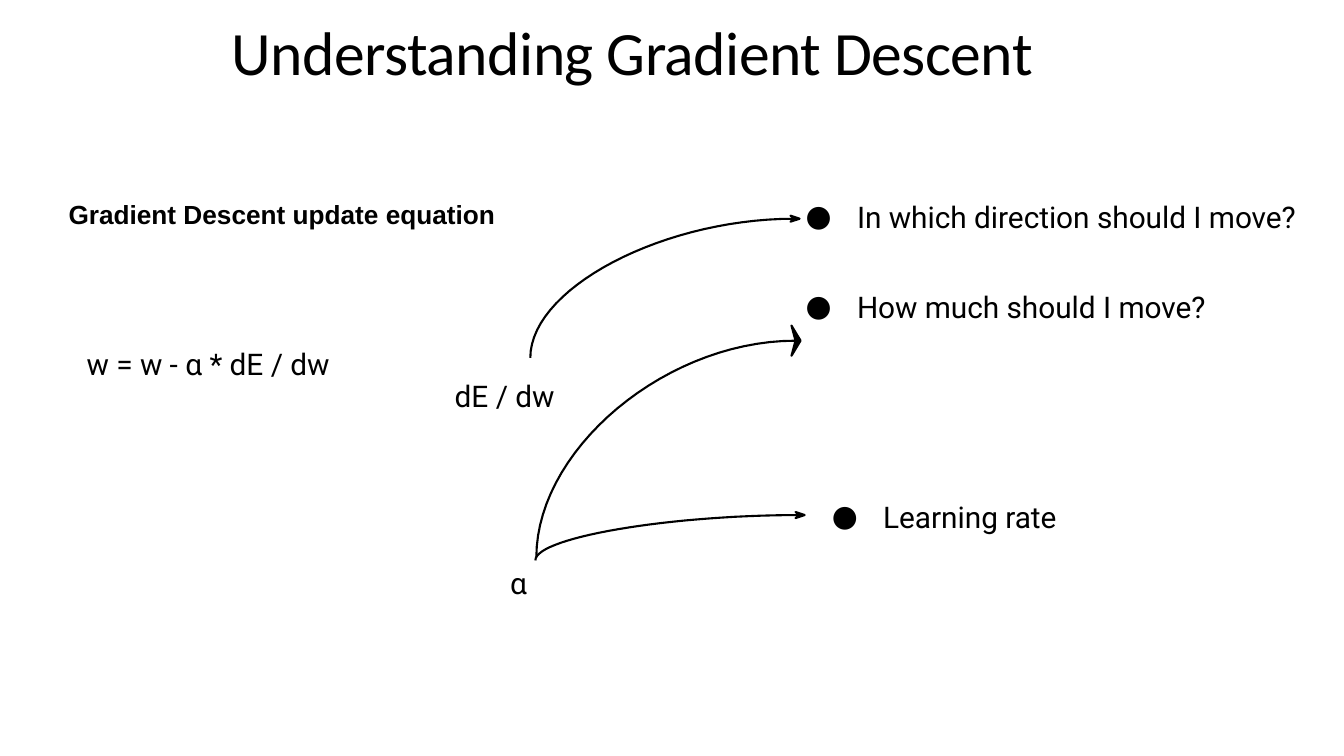
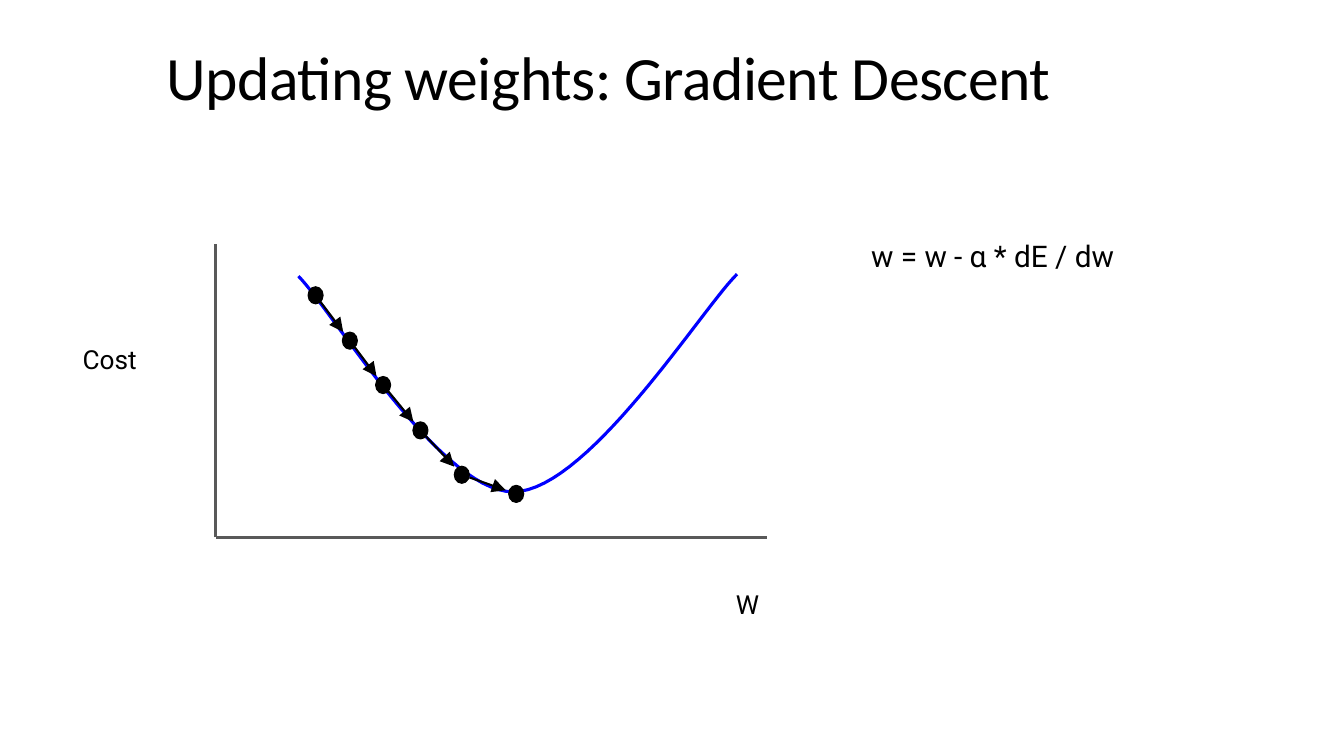
"""Build two slides that explain gradient descent."""
import math

import pptx
import pptx.dml.color
import pptx.enum.shapes
import pptx.enum.text
import pptx.oxml.ns
import pptx.util
from lxml import etree

Inches = pptx.util.Inches
Pt = pptx.util.Pt
qn = pptx.oxml.ns.qn

BLACK, AXIS, CURVE = "000000", "595959", "0000FF"
TITLE_FONT, BODY_FONT, HEADING_FONT = "Calibri", "Roboto", "Arial"
TITLE_SIZE, BODY_SIZE, LABEL_SIZE = 44, 21.3, 18.7
TITLE_AND_BODY, TITLE_ONLY = 1, 5
EQUATION = "w = w - α * dE / dw"


def color(hex_string):
    return pptx.dml.color.RGBColor.from_string(hex_string)


def bezier(start, control1, control2, end, steps=30):
    points = []
    for step in range(steps + 1):
        t = step / steps
        weights = ((1 - t) ** 3, 3 * t * (1 - t) ** 2, 3 * t * t * (1 - t), t ** 3)
        points.append(tuple(
            sum(weight * value for weight, value in zip(weights, values))
            for values in zip(start, control1, control2, end)))
    return points


class Deck:
    def __init__(self):
        self.presentation = pptx.Presentation()
        self.presentation.slide_width = Inches(13.33)
        self.presentation.slide_height = Inches(7.5)
        self.slide = None

    def add_slide(self, layout, title, left, top, width):
        layouts = self.presentation.slide_layouts
        self.slide = self.presentation.slides.add_slide(layouts[layout])
        shape = self.slide.shapes.title
        self.set_text(shape, (left, top, width, 0.76), [title], TITLE_SIZE, TITLE_FONT)
        shape.text_frame.vertical_anchor = pptx.enum.text.MSO_ANCHOR.MIDDLE
        for run in shape.text_frame.paragraphs[0].runs:
            run.font._element.set("spc", "-40")

    def set_text(self, shape, box, lines, size=BODY_SIZE, font=BODY_FONT,
                 bold=False, bullets=False, gap=0):
        shape.left, shape.top, shape.width, shape.height = map(Inches, box)
        frame = shape.text_frame
        frame.text = "\n".join(lines)
        frame.word_wrap = True
        frame.auto_size = pptx.enum.text.MSO_AUTO_SIZE.NONE
        frame.vertical_anchor = pptx.enum.text.MSO_ANCHOR.TOP
        frame.margin_left = frame.margin_right = frame.margin_bottom = 0
        frame.margin_top = Inches(0.04)
        for index, paragraph in enumerate(frame.paragraphs):
            self.indent(paragraph, bullets)
            paragraph.alignment = pptx.enum.text.PP_ALIGN.LEFT
            paragraph.space_before = Pt(gap if index else 0)
            for run in paragraph.runs:
                run.font.name = font
                run.font.size = Pt(size)
                run.font.bold = bold
                run.font.color.rgb = color(BLACK)
        return frame

    def indent(self, paragraph, bullets):
        properties = paragraph._p.get_or_add_pPr()
        properties.set("marL", str(Inches(0.53 if bullets else 0.02)))
        properties.set("indent", str(Inches(-0.51 if bullets else 0)))
        if bullets:
            etree.SubElement(properties, qn("a:buFont"), typeface=BODY_FONT)
            etree.SubElement(properties, qn("a:buChar"), char="●")

    def text(self, box, lines, **style):
        shape = self.slide.shapes.add_textbox(0, 0, 0, 0)
        return self.set_text(shape, box, lines, **style)

    def bullet_list(self, box, lines, **style):
        shape = self.slide.placeholders[1]
        return self.set_text(shape, box, lines, bullets=True, **style)

    def outline(self, points, line=BLACK, width=1.5, closed=False):
        corners = [(Inches(x), Inches(y)) for x, y in points]
        builder = self.slide.shapes.build_freeform(*corners[0], scale=1.0)
        builder.add_line_segments(corners[1:], close=closed)
        self.paint(builder.convert_to_shape(), line, width, closed)

    def paint(self, shape, line, width, filled):
        shape.shadow.inherit = False
        shape.line.color.rgb = color(line)
        shape.line.width = Pt(width)
        if filled:
            shape.fill.solid()
            shape.fill.fore_color.rgb = color(line)
        else:
            shape.fill.background()

    def curved_arrow(self, start, end, head_height=0.06):
        (left, bottom), (right, top) = start, end
        self.outline(bezier(start, (left, (bottom + top) / 2),
                            ((left + right) / 2, top), end))
        half = head_height / 2
        self.outline([end, (right - 0.04, top - half), (right + 0.05, top),
                      (right - 0.04, top + half)], closed=True)

    def line(self, start, end, line=BLACK, width=1.5, arrow=False):
        connector = self.slide.shapes.add_connector(
            pptx.enum.shapes.MSO_CONNECTOR.STRAIGHT,
            *map(Inches, (*start, *end)))
        connector.line.color.rgb = color(line)
        connector.line.width = Pt(width)
        if arrow:
            etree.SubElement(connector.line._get_or_add_ln(), qn("a:tailEnd"),
                             type="triangle", w="lg", len="lg")
        etree.SubElement(connector._element.spPr, qn("a:effectLst"))

    def dot(self, center, width=0.15, height=0.17):
        x, y = center
        shape = self.slide.shapes.add_shape(
            pptx.enum.shapes.MSO_SHAPE.OVAL,
            *map(Inches, (x - width / 2, y - height / 2, width, height)))
        self.paint(shape, BLACK, 0.75, True)

    def step_arrow(self, start, end, start_gap=0.08, end_gap=0.11):
        distance = math.dist(start, end)

        def along(length):
            return tuple(a + (b - a) * length / distance
                         for a, b in zip(start, end))

        self.line(along(start_gap), along(distance - end_gap), arrow=True)


def build_understanding(deck):
    deck.add_slide(TITLE_AND_BODY, "Understanding Gradient Descent", 2.28, 0.1, 9.08)
    deck.bullet_list((7.97, 1.93, 5.2, 1.3),
                     ["In which direction should I move?", "How much should I move?"],
                     gap=39)
    deck.text((8.23, 4.91, 2.29, 0.38), ["Learning rate"], bullets=True)
    deck.text((0.66, 1.93, 4.6, 0.33), ["Gradient Descent update equation"],
              size=LABEL_SIZE, font=HEADING_FONT, bold=True)
    equation = deck.text((0.84, 3.43, 4.9, 0.66), [EQUATION, "dE / dw"])
    for paragraph in equation.paragraphs:
        paragraph.line_spacing = Pt(22.9)
    equation.paragraphs[1]._p.get_or_add_pPr().set("marL", str(Inches(3.67)))
    deck.text((5.04, 5.56, 0.3, 0.38), ["α"])
    deck.curved_arrow((5.26, 3.55), (7.88, 2.17))
    deck.curved_arrow((5.32, 5.53), (7.89, 3.38), head_height=0.3)
    deck.curved_arrow((5.31, 5.56), (7.93, 5.11))


def build_updating(deck):
    deck.add_slide(TITLE_ONLY, "Updating weights: Gradient Descent", 1.63, 0.35, 8.89)
    origin = (2.14, 5.33)
    for axis_end in ((2.14, 2.42), (7.61, 5.33)):
        deck.line(origin, axis_end, AXIS, 2.25)
    minimum = (5.09, 4.88)
    descent = bezier((2.96, 2.74), (3.31, 3.1), (4.37, 4.88), minimum)
    ascent = bezier(minimum, (5.82, 4.88), (6.95, 3.08), (7.31, 2.72))
    deck.outline(descent + ascent[1:], CURVE, 2.25)
    weights = [(3.13, 2.93), (3.47, 3.38), (3.8, 3.82),
               (4.17, 4.27), (4.58, 4.71), (5.12, 4.9)]
    for center in weights:
        deck.dot(center)
    for start, end in zip(weights, weights[1:]):
        deck.step_arrow(start, end)
    deck.text((0.8, 3.37, 0.8, 0.33), ["Cost"], size=LABEL_SIZE)
    deck.text((7.28, 5.8, 0.4, 0.33), ["W"], size=LABEL_SIZE)
    deck.text((8.62, 2.32, 2.8, 0.38), [EQUATION])


def main():
    deck = Deck()
    build_understanding(deck)
    build_updating(deck)
    deck.presentation.save("out.pptx")


if __name__ == "__main__":
    main()
